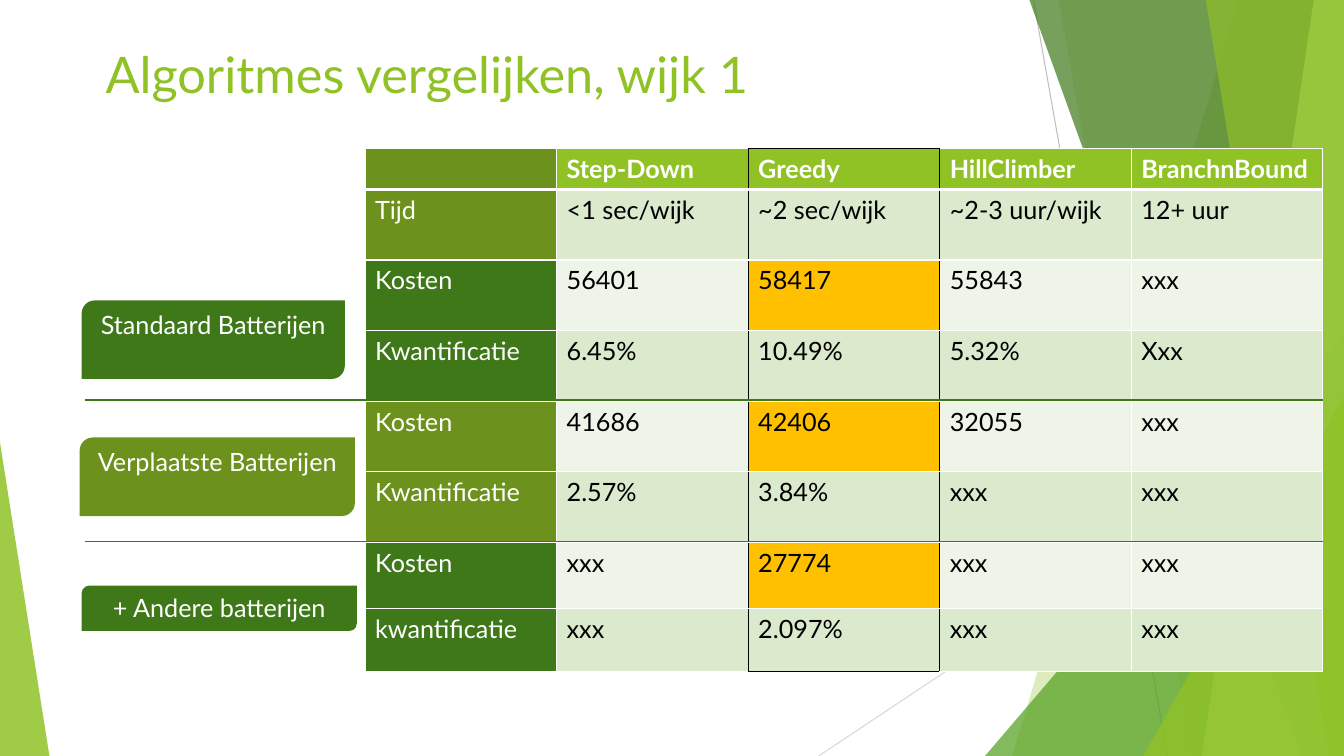
import pptx
import pptx.dml.color
import pptx.enum.shapes
import pptx.enum.text
import pptx.oxml
import pptx.oxml.ns
import pptx.util
from pptx.util import Inches

FONT = "Lato"
WHITE, BLACK = "FFFFFF", "000000"
LIME, OLIVE, FOREST, ORANGE = "90C226", "6C921D", "3F7819", "FFC000"
PALE, PALER = "DBE9CD", "EEF4E8"
SHAPES = pptx.enum.shapes.MSO_SHAPE
ALIGN = pptx.enum.text.PP_ALIGN

COLUMNS = ["", "Step-Down", "Greedy", "HillClimber", "BranchnBound"]
ROWS = [
    (OLIVE, 0.7, ["Tijd", "<1 sec/wijk", "~2 sec/wijk", "~2-3 uur/wijk", "12+ uur"]),
    (FOREST, 0.7, ["Kosten", "56401", "58417", "55843", "xxx"]),
    (FOREST, 0.7, ["Kwantificatie", "6.45%", "10.49%", "5.32%", "Xxx"]),
    (OLIVE, 0.7, ["Kosten", "41686", "42406", "32055", "xxx"]),
    (OLIVE, 0.7, ["Kwantificatie", "2.57%", "3.84%", "xxx", "xxx"]),
    (FOREST, 0.66, ["Kosten", "xxx", "27774", "xxx", "xxx"]),
    (FOREST, 0.62, ["kwantificatie", "xxx", "2.097%", "xxx", "xxx"]),
]
HEADER_HEIGHT = 0.41
GREEDY = COLUMNS.index("Greedy")


def color(hex_string):
    return pptx.dml.color.RGBColor.from_string(hex_string)


def element(xml):
    return pptx.oxml.parse_xml(xml.replace(">", f" {pptx.oxml.ns.nsdecls('a')}>", 1))


def fill_shape(shape, hex_string, opacity=100):
    shape.shadow.inherit = False
    shape.line.fill.background()
    shape.fill.solid()
    shape.fill.fore_color.rgb = color(hex_string)
    if opacity < 100:
        target = shape.fill._xPr.find(".//" + pptx.oxml.ns.qn("a:srgbClr"))
        target.append(element(f'<a:alpha val="{opacity * 1000}"></a:alpha>'))


def write(frame, text, size, hex_string, bold=False, align=ALIGN.LEFT):
    frame.word_wrap = True
    frame.vertical_anchor = pptx.enum.text.MSO_ANCHOR.TOP
    paragraph = frame.paragraphs[0]
    paragraph.alignment = align
    run = paragraph.add_run()
    run.text = text
    formats = {"name": FONT, "size": pptx.util.Pt(size), "bold": bold}
    for name, value in formats.items():
        setattr(run.font, name, value)
    run.font.color.rgb = color(hex_string)


def add_line(slide, start, end, hex_string, width):
    line = slide.shapes.add_connector(
        pptx.enum.shapes.MSO_CONNECTOR.STRAIGHT, *map(Inches, (*start, *end)))
    line.line.color.rgb = color(hex_string)
    line.line.width = pptx.util.Pt(width)
    line._element.spPr.append(element("<a:effectLst></a:effectLst>"))


def add_band(slide, box, top_x, bottom_x, hex_string, opacity):
    """Fill the box to the right of a slanted edge."""
    left, top, width, height = box
    right, bottom = left + width, top + height
    corners = [(top_x, top), (right, top), (right, bottom), (bottom_x, bottom)]
    points = [(Inches(x), Inches(y)) for x, y in corners]
    builder = slide.shapes.build_freeform(*points[0])
    builder.add_line_segments(points[1:], close=True)
    fill_shape(builder.convert_to_shape(), hex_string, opacity)


def add_triangle(slide, box, left, width, height, apex, hex_string, opacity):
    """Stand a right-angled triangle on the bottom of the box."""
    top = box[1] + box[3] - height
    triangle = slide.shapes.add_shape(
        SHAPES.ISOSCELES_TRIANGLE, *map(Inches, (left, top, width, height)))
    triangle.adjustments[0] = apex
    fill_shape(triangle, hex_string, opacity)


def add_facets(slide, box):
    left, top, width, height = box
    right, bottom = left + width, top + height
    add_line(slide, (10.25, top), (11.58, bottom), "BFBFBF", 0.75)
    add_line(slide, (right, 4.03), (8.12, bottom), "D9D9D9", 0.75)
    add_band(slide, box, 12.28, 10.04, LIME, 30)
    add_band(slide, box, 10.5, 11.83, LIME, 20)
    add_triangle(slide, box, right - 3.56, 3.56, 4.17, 1, "54A021", 72)
    for band in [(10.21, 12.91, FOREST, 70), (13.03, 11.92, "C0E474", 70),
                 (11.96, 13.18, LIME, 65)]:
        add_band(slide, box, *band)
    add_triangle(slide, box, right - 1.99, 1.99, 3.57, 1, LIME, 80)
    add_triangle(slide, box, left, 0.49, 3.11, 0, LIME, 85)


def add_title(slide, box, text):
    title = slide.shapes.add_textbox(*map(Inches, box))
    write(title.text_frame, text, 36, LIME)


def add_label(slide, box, text, hex_string):
    label = slide.shapes.add_shape(SHAPES.ROUND_2_DIAG_RECTANGLE, *map(Inches, box))
    fill_shape(label, hex_string)
    write(label.text_frame, text, 18, WHITE, align=ALIGN.CENTER)


def set_borders(cell, row, column):
    """Draw white rules, with a black frame around the Greedy column."""
    greedy = column == GREEDY
    borders = {
        "L": (column in (GREEDY, GREEDY + 1), 1),
        "R": (column in (GREEDY - 1, GREEDY), 1),
        "T": (greedy and row == 0, 3 if row == 1 else 1),
        "B": (greedy and row == len(ROWS), 3 if row == 0 else 1),
    }
    properties = cell._tc.get_or_add_tcPr()
    for side, (framed, width) in borders.items():
        properties.append(element(
            f'<a:ln{side} w="{pptx.util.Pt(width)}"><a:solidFill>'
            f'<a:srgbClr val="{BLACK if framed else WHITE}"/>'
            f'</a:solidFill></a:ln{side}>'))


def cell_fill(row, column, group, name):
    if column == 0:
        return group
    if row == 0:
        return LIME
    if name == "Kosten":
        return ORANGE if column == GREEDY else PALER
    return PALE


def add_results(slide, box):
    rows = [(OLIVE, HEADER_HEIGHT, COLUMNS), *ROWS]
    table = slide.shapes.add_table(len(rows), len(COLUMNS), *map(Inches, box)).table
    for flag in ("first_row", "horz_banding"):
        setattr(table, flag, False)
    for column in table.columns:
        column.width = Inches(box[2] / len(COLUMNS))
    for row, (group, height, texts) in enumerate(rows):
        table.rows[row].height = Inches(height)
        for column, text in enumerate(texts):
            cell = table.cell(row, column)
            set_borders(cell, row, column)
            cell.fill.solid()
            cell.fill.fore_color.rgb = color(cell_fill(row, column, group, texts[0]))
            if text:
                light = row == 0 or column == 0
                write(cell.text_frame, text, 18, WHITE if light else BLACK, row == 0)


def main():
    presentation = pptx.Presentation()
    presentation.slide_width = Inches(13.33)
    presentation.slide_height = Inches(7.5)
    slide = presentation.slides.add_slide(presentation.slide_layouts[6])
    add_facets(slide, (0, 0, 13.33, 7.5))
    add_title(slide, (0.95, 0.38, 9.4, 1.44), "Algoritmes vergelijken, wijk 1")
    add_label(slide, (0.81, 2.98, 2.61, 0.78), "Standaard Batterijen", FOREST)
    add_label(slide, (0.79, 4.34, 2.73, 0.78), "Verplaatste Batterijen", OLIVE)
    add_label(slide, (0.81, 5.81, 2.73, 0.45), "+ Andere batterijen", FOREST)
    add_results(slide, (3.62, 1.47, 9.5, 5.18))
    for divider in (3.97, 5.37):
        add_line(slide, (0.84, divider), (13.12, divider), FOREST, 1)
    presentation.save("out.pptx")


if __name__ == "__main__":
    main()
